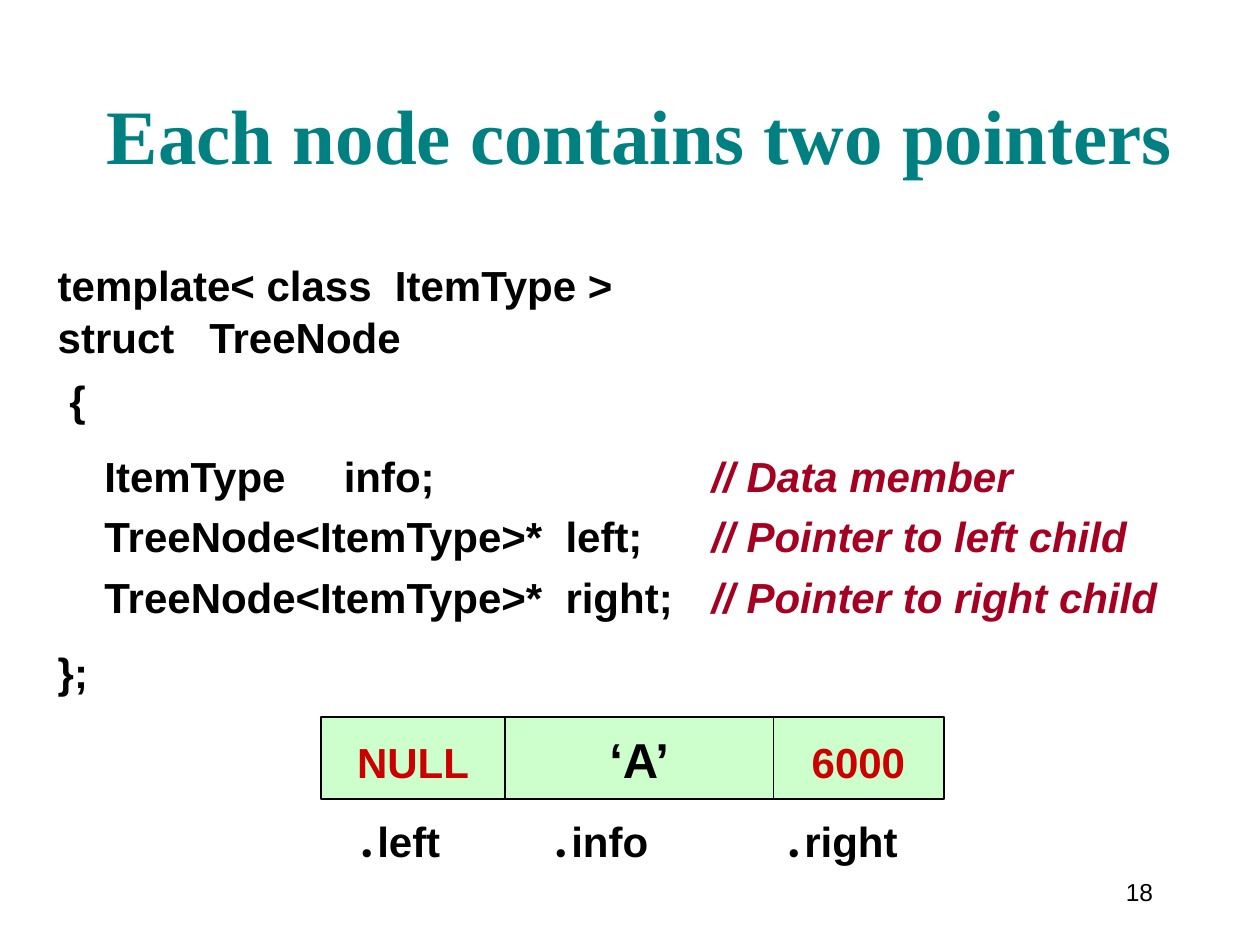
from dataclasses import dataclass

from lxml import etree
from pptx import Presentation
from pptx.dml.color import RGBColor
from pptx.enum import shapes, text
from pptx.oxml import ns
from pptx.util import Inches, Pt


@dataclass(frozen=True)
class Theme:
    """Colours, fonts and type sizes of the slide."""
    ink: RGBColor = RGBColor(0, 0, 0)
    title: RGBColor = RGBColor(0x00, 0x80, 0x80)
    comment: RGBColor = RGBColor(0xA5, 0x00, 0x21)
    pointer: RGBColor = RGBColor(0xCC, 0x00, 0x00)
    node: RGBColor = RGBColor(0xCC, 0xFF, 0xCC)
    serif: str = "Times New Roman"
    sans: str = "Arial"
    dot: str = "Montserrat"
    title_size: int = 44
    value_size: int = 28
    body_size: int = 24
    number_size: int = 14
    gap_size: int = 10


THEME = Theme()
CODE = [
    ("template< class  ItemType >", "", 2),
    ("struct   TreeNode", "", 1),
    (" {", "", 7),
    ("\tItemType\tinfo;\t", "// Data member", 14.5),
    ("\tTreeNode<ItemType>*\tleft;\t", "// Pointer to left child", 6),
    ("\tTreeNode<ItemType>*\tright;\t", "// Pointer to right child", 6),
    ("};", "", 14),
]
FIELDS = [
    ("NULL", "left", THEME.pointer, THEME.body_size, 1.46),
    ("‘A’", "info", THEME.ink, THEME.value_size, 2.13),
    ("6000", "right", THEME.pointer, THEME.body_size, 1.35),
]


def set_font(font, size, color=THEME.ink, name=THEME.sans, bold=True):
    """Format a paragraph or run font."""
    font.size, font.name, font.bold = Pt(size), name, bold
    font.color.rgb = color


def set_tabs(paragraph, stops, align="l"):
    """Give a paragraph tab stops, in inches from the text edge."""
    properties = paragraph._p.get_or_add_pPr()
    tabs = etree.Element(ns.qn("a:tabLst"))
    for stop in stops:
        etree.SubElement(tabs, ns.qn("a:tab"), pos=str(Inches(stop)), algn=align)
    following = properties.find(ns.qn("a:defRPr"))
    if following is None:
        properties.append(tabs)
    else:
        following.addprevious(tabs)


def add_run(paragraph, words):
    """Append a run and return it."""
    run = paragraph.add_run()
    run.text = words
    return run


def add_frame(slide, left, top, width, height):
    """Add a wrapping text box and return its text frame."""
    box = slide.shapes.add_textbox(*map(Inches, (left, top, width, height)))
    box.text_frame.word_wrap = True
    return box.text_frame


def place_title(slide, left, top, width, height):
    """Move and format the title placeholder."""
    title = slide.shapes.title
    title.left, title.top, title.width, title.height = map(
        Inches, (left, top, width, height))
    frame = title.text_frame
    frame.text = "Each node contains two pointers"
    frame.auto_size = text.MSO_AUTO_SIZE.NONE
    frame.vertical_anchor = text.MSO_ANCHOR.BOTTOM
    paragraph = frame.paragraphs[0]
    paragraph.alignment = text.PP_ALIGN.CENTER
    set_font(paragraph.font, THEME.title_size, THEME.title, THEME.serif)


def add_code(slide, left, top, width, height):
    """Add the struct declaration with its comments in a column."""
    frame = add_frame(slide, left, top, width, height)
    for index, (code, comment, space) in enumerate(CODE):
        paragraph = frame.add_paragraph() if index else frame.paragraphs[0]
        paragraph.space_before = Pt(space)
        set_font(paragraph.font, THEME.body_size)
        add_run(paragraph, code)
        if comment:
            info = "info" in code
            set_tabs(paragraph, [0.37, 2.27 if info else 4.03, 5.19])
            run = add_run(paragraph, comment)
            run.font.italic = True
            run.font.color.rgb = THEME.comment


def add_node(slide, left, top, width, height):
    """Add the node box with its dividers, values and member labels."""
    box = slide.shapes.add_shape(
        shapes.MSO_SHAPE.RECTANGLE, *map(Inches, (left, top, width, height)))
    box.shadow.inherit = False
    box.fill.solid()
    box.fill.fore_color.rgb = THEME.node
    box.line.color.rgb = THEME.ink
    box.line.width = Pt(1)

    edges = [0]
    for field in FIELDS:
        edges.append(edges[-1] + field[-1])
    for edge in edges[1:-1]:
        x = Inches(left + edge)
        divider = slide.shapes.add_connector(
            shapes.MSO_CONNECTOR.STRAIGHT, x, Inches(top), x, Inches(top + height))
        divider.line.color.rgb = THEME.ink
        divider.line.width = Pt(1)
        etree.SubElement(divider._element.spPr, ns.qn("a:effectLst"))

    inset = 0.1
    labels = add_frame(slide, left + inset, top + 0.73, width - 2 * inset, 0.5).paragraphs[0]
    values = add_frame(slide, left, top + 0.05, width, 0.57).paragraphs[0]
    set_tabs(labels, [0.12, 1.66, 3.51])
    set_tabs(values, [(a + b) / 2 - inset for a, b in zip(edges, edges[1:])], "ctr")
    set_font(labels.font, THEME.body_size)
    set_font(values.font, THEME.body_size)
    for value, label, color, size, _ in FIELDS:
        set_font(add_run(values, "\t" + value).font, size, color)
        add_run(labels, "\t.").font.name = THEME.dot
        add_run(labels, " ").font.size = Pt(THEME.gap_size)
        add_run(labels, label)


def add_page_number(slide, left, top, width, height):
    """Add the page number, right-aligned."""
    frame = add_frame(slide, left, top, width, height)
    frame.vertical_anchor = text.MSO_ANCHOR.MIDDLE
    paragraph = frame.paragraphs[0]
    paragraph.text = "18"
    paragraph.alignment = text.PP_ALIGN.RIGHT
    set_font(paragraph.font, THEME.number_size, bold=False)


def main():
    """Build and save the slide."""
    presentation = Presentation()
    presentation.slide_width, presentation.slide_height = Inches(10), Inches(7.5)
    slide = presentation.slides.add_slide(presentation.slide_layouts.get_by_name("Title Only"))
    place_title(slide, 0.6, 0.23, 8.96, 1.25)
    add_code(slide, 0.36, 2.01, 9.41, 3.41)
    add_node(slide, 2.55, 5.69, 4.94, 0.65)
    add_page_number(slide, 8.58, 6.83, 0.67, 0.5)
    presentation.save("out.pptx")


if __name__ == "__main__":
    main()
